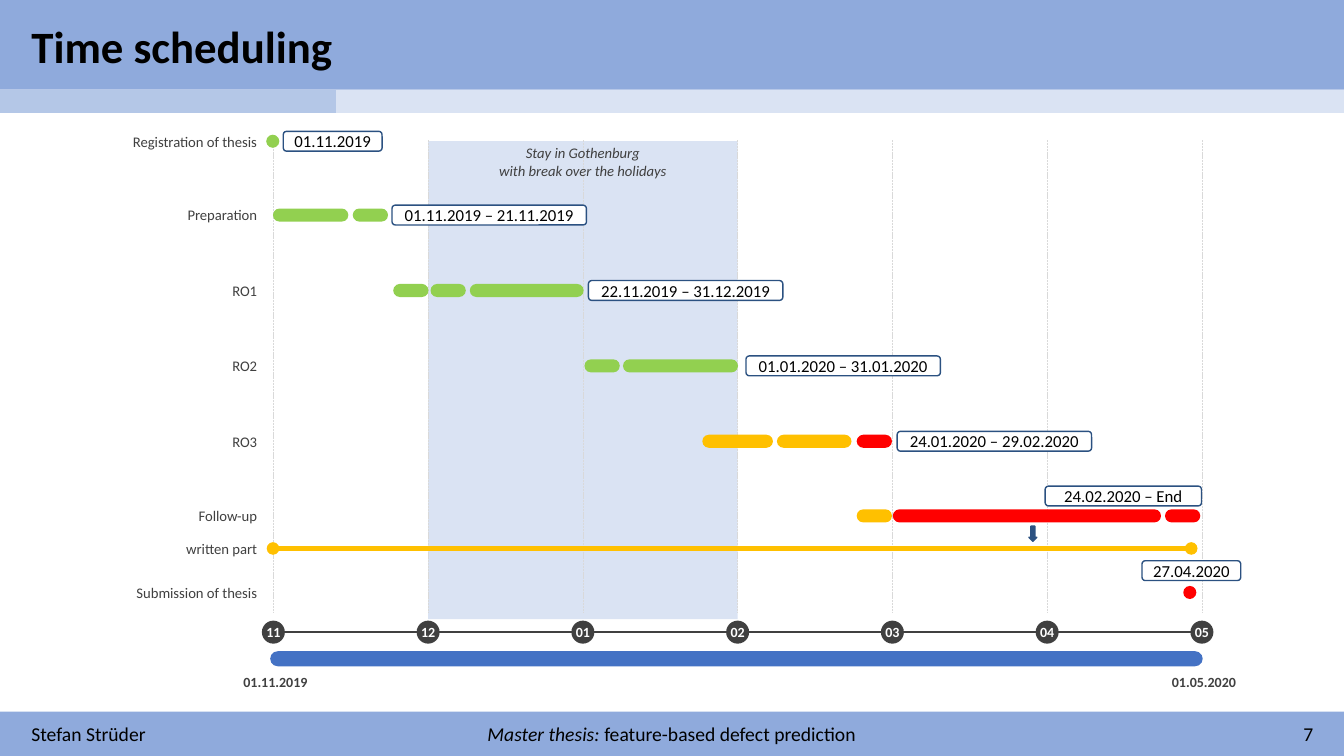
from dataclasses import dataclass

from lxml import etree
from pptx import Presentation
from pptx.dml.color import RGBColor
from pptx.enum.dml import MSO_LINE
from pptx.enum.shapes import MSO_CONNECTOR, MSO_SHAPE
from pptx.enum.text import MSO_ANCHOR, PP_ALIGN
from pptx.oxml.ns import qn
from pptx.util import Cm, Pt

RECTANGLE, ROUNDED = MSO_SHAPE.RECTANGLE, MSO_SHAPE.ROUNDED_RECTANGLE
OVAL, DOWN_ARROW = MSO_SHAPE.OVAL, MSO_SHAPE.DOWN_ARROW
STRAIGHT, DASHED = MSO_CONNECTOR.STRAIGHT, MSO_LINE.SQUARE_DOT
LEFT, CENTER, RIGHT = PP_ALIGN.LEFT, PP_ALIGN.CENTER, PP_ALIGN.RIGHT
MIDDLE = MSO_ANCHOR.MIDDLE
NO_TABLE_STYLE = "{2D5ABB26-0587-4C30-8999-92F81FD0307C}"


@dataclass(frozen=True)
class Theme:
    """Colours, font and type sizes of the slide."""
    font: str = "Calibri"
    black: str = "000000"
    white: str = "FFFFFF"
    dark: str = "404040"
    grid: str = "D9D9D9"
    band: str = "8FAADC"
    progress: str = "B4C7E7"
    pale: str = "DAE3F3"
    span: str = "4472C4"
    navy: str = "2B5181"
    done: str = "92D050"
    active: str = "FFC000"
    late: str = "FF0000"
    title_size: float = 32
    footer_size: float = 14
    tag_size: float = 12
    label_size: float = 10.5
    axis_size: float = 10
    strip_size: float = 8


class SlideBuilder:
    """Holds the theme and the current slide, and draws its elements in cm."""

    def __init__(self, slide, theme):
        """Keep the slide and theme for all later calls."""
        self.slide, self.theme = slide, theme

    def set_text(self, shape, text, size, color, align=CENTER, bold=False, italic=False):
        """Put one paragraph per line of text into a shape without insets."""
        frame = shape.text_frame
        settings = {"margin_left": 0, "margin_right": 0, "margin_top": 0,
                    "margin_bottom": 0, "word_wrap": True, "vertical_anchor": MIDDLE}
        for name, value in settings.items():
            setattr(frame, name, value)
        frame.text = text
        for paragraph in frame.paragraphs:
            paragraph.alignment = align
            for run in paragraph.runs:
                self.format_run(run, size, color, bold, italic)

    def format_run(self, run, size, color, bold=False, italic=False):
        """Set the font of one run."""
        settings = {"name": self.theme.font, "size": Pt(size), "bold": bold, "italic": italic}
        for name, value in settings.items():
            setattr(run.font, name, value)
        run.font.color.rgb = RGBColor.from_string(color)

    def title(self, text, left, top, width, height):
        """Place the title placeholder in front of the shapes drawn so far."""
        title = self.slide.shapes.title
        title.left, title.top, title.width, title.height = map(Cm, (left, top, width, height))
        self.set_text(title, text, self.theme.title_size, self.theme.black, LEFT, bold=True)
        title.element.getparent().append(title.element)

    def shape(self, kind, left, top, width, height, fill, outline=None, corner=None):
        """Add a flat preset shape, with an outline only if asked for."""
        shape = self.slide.shapes.add_shape(kind, *map(Cm, (left, top, width, height)))
        shape.shadow.inherit = False
        shape.fill.solid()
        shape.fill.fore_color.rgb = RGBColor.from_string(fill)
        if outline:
            shape.line.color.rgb = RGBColor.from_string(outline)
            shape.line.width = Pt(1)
        else:
            shape.line.fill.background()
        if corner is not None:
            shape.adjustments[0] = corner
        return shape

    def pill(self, left, middle, width, color, height=0.33):
        """Add a bar with fully round ends, centred on a height."""
        return self.shape(ROUNDED, left, middle - height / 2, width, height, color, corner=0.5)

    def tag(self, text, left, middle, width):
        """Add an outlined date tag."""
        theme = self.theme
        shape = self.shape(ROUNDED, left, middle - 0.25, width, 0.5, theme.white, theme.navy)
        self.set_text(shape, text, theme.tag_size, theme.black)

    def text(self, text, left, middle, width, size, color, align=CENTER, **style):
        """Add a text box centred on a height."""
        box = self.slide.shapes.add_textbox(*map(Cm, (left, middle - 0.4, width, 0.8)))
        self.set_text(box, text, size, color, align, **style)
        return box

    def line(self, start, end, color, width, dash=None, ends=None):
        """Add a straight line, optionally dashed or with end markers."""
        line = self.slide.shapes.add_connector(STRAIGHT, *map(Cm, (*start, *end)))
        line.line.color.rgb = RGBColor.from_string(color)
        line.line.width = Pt(width)
        if dash:
            line.line.dash_style = dash
        properties = line.element.spPr
        if ends:
            outline = properties.find(qn("a:ln"))
            for name in ("a:headEnd", "a:tailEnd"):
                etree.SubElement(outline, qn(name), type=ends)
        etree.SubElement(properties, qn("a:effectLst"))

    def strip(self, left, top, width, height, fills):
        """Add a one-row table of plain coloured cells."""
        frame = self.slide.shapes.add_table(1, len(fills), *map(Cm, (left, top, width, height)))
        table = frame.table
        table.first_row = table.horz_banding = False
        frame.element.find(".//" + qn("a:tableStyleId")).text = NO_TABLE_STYLE
        for cell, fill in zip(table.rows[0].cells, fills):
            cell.margin_top = cell.margin_bottom = 0
            cell.fill.solid()
            cell.fill.fore_color.rgb = RGBColor.from_string(fill)
        for paragraph in frame.element.iter(qn("a:p")):
            etree.SubElement(paragraph, qn("a:endParaRPr"), sz=str(self.theme.strip_size * 100))


def draw_frame(builder, width):
    """Draw the title band, progress strip and footer."""
    theme = builder.theme
    builder.shape(RECTANGLE, 0, 17.93, width, 1.12, theme.band)
    builder.shape(RECTANGLE, 0, 0, width, 2.26, theme.band)
    builder.title("Time scheduling", 0.79, 0.33, 15, 1.63)
    builder.strip(0, 2.26, width, 0.58, [theme.progress] + [theme.pale] * 3)
    style = (theme.footer_size, theme.black)
    builder.text("Stefan Strüder", 0.79, 18.49, 8, *style, LEFT)
    builder.text("7", 25.1, 18.49, 8, *style, RIGHT)
    center = builder.text("Master thesis: ", 11.73, 18.49, 10.4, *style, italic=True)
    topic = center.text_frame.paragraphs[0].add_run()
    topic.text = "feature-based defect prediction"
    builder.format_run(topic, *style)


def draw_axis(builder, first, step):
    """Draw the stay abroad, the month grid and the time axis."""
    theme = builder.theme
    months = ["11", "12", "01", "02", "03", "04", "05"]
    last = first + step * (len(months) - 1)
    builder.shape(RECTANGLE, first + step, 3.56, 2 * step, 12.04, theme.pale)
    builder.line((last, 15.93), (first, 15.93), theme.dark, 1.25)
    builder.pill(6.81, 16.6, 23.5, theme.span, 0.38)
    for index, month in enumerate(months):
        x = first + step * index
        builder.line((x, 3.53), (x, 15.44), theme.grid, 0.5, DASHED)
        circle = builder.shape(OVAL, x - 0.29, 15.64, 0.58, 0.58, theme.dark)
        builder.set_text(circle, month, theme.axis_size, theme.white, bold=True)
    for date, x in (("01.11.2019", first), ("01.05.2020", last)):
        builder.text(date, x - 0.95, 17.19, 2, theme.axis_size, theme.dark, bold=True)
    builder.text("Stay in Gothenburg\nwith break over the holidays", first + step, 4.07,
                 2 * step, theme.label_size, theme.dark, italic=True)


def draw_tasks(builder):
    """Draw each task with its label, bars (left, width, colour) and date tag."""
    theme = builder.theme
    done, active, late = theme.done, theme.active, theme.late
    week = 0.89
    tasks = [
        ("Registration of thesis", 3.56, [(6.71, 0.33, done)], ("01.11.2019", 7.14, 3.56, 2.49)),
        ("Preparation", 5.42, [(6.88, 1.9, done), (8.89, week, done)],
         ("01.11.2019 – 21.11.2019", 9.88, 5.42, 4.9)),
        ("RO1", 7.32, [(9.91, week, done), (10.85, week, done), (11.84, 2.87, done)],
         ("22.11.2019 – 31.12.2019", 14.83, 7.32, 4.9)),
        ("RO2", 9.22, [(14.73, week, done), (15.7, 2.9, done)],
         ("01.01.2020 – 31.01.2020", 18.8, 9.22, 4.9)),
        ("RO3", 11.12, [(17.7, 1.78, active), (19.58, 1.88, active), (21.59, week, late)],
         ("24.01.2020 – 29.02.2020", 22.61, 11.12, 4.9)),
        ("Follow-up", 13, [(21.59, week, active), (22.5, 6.76, late), (29.36, week, late)],
         ("24.02.2020 – End", 26.34, 12.5, 3.94)),
        ("written part", 13.82, [], None),
        ("Submission of thesis", 14.93, [(29.82, 0.33, late)], ("27.04.2020", 28.78, 14.38, 2.49)),
    ]
    for label, middle, bars, tag in tasks:
        builder.text(label, 1.48, middle, 5, theme.label_size, theme.dark, RIGHT)
        for left, width, color in bars:
            builder.pill(left, middle, width, color)
        if tag:
            builder.tag(*tag)
    builder.line((6.88, 13.82), (30.02, 13.82), active, 3, ends="oval")
    builder.shape(DOWN_ARROW, 25.93, 13.26, 0.2, 0.38, theme.navy, theme.navy)


def main():
    """Build the schedule slide and save it."""
    presentation = Presentation()
    presentation.slide_width, presentation.slide_height = Cm(33.87), Cm(19.05)
    slide = presentation.slides.add_slide(presentation.slide_layouts[5])
    builder = SlideBuilder(slide, Theme())
    draw_frame(builder, 33.87)
    draw_axis(builder, first=6.89, step=3.9)
    draw_tasks(builder)
    presentation.save("out.pptx")


main()
